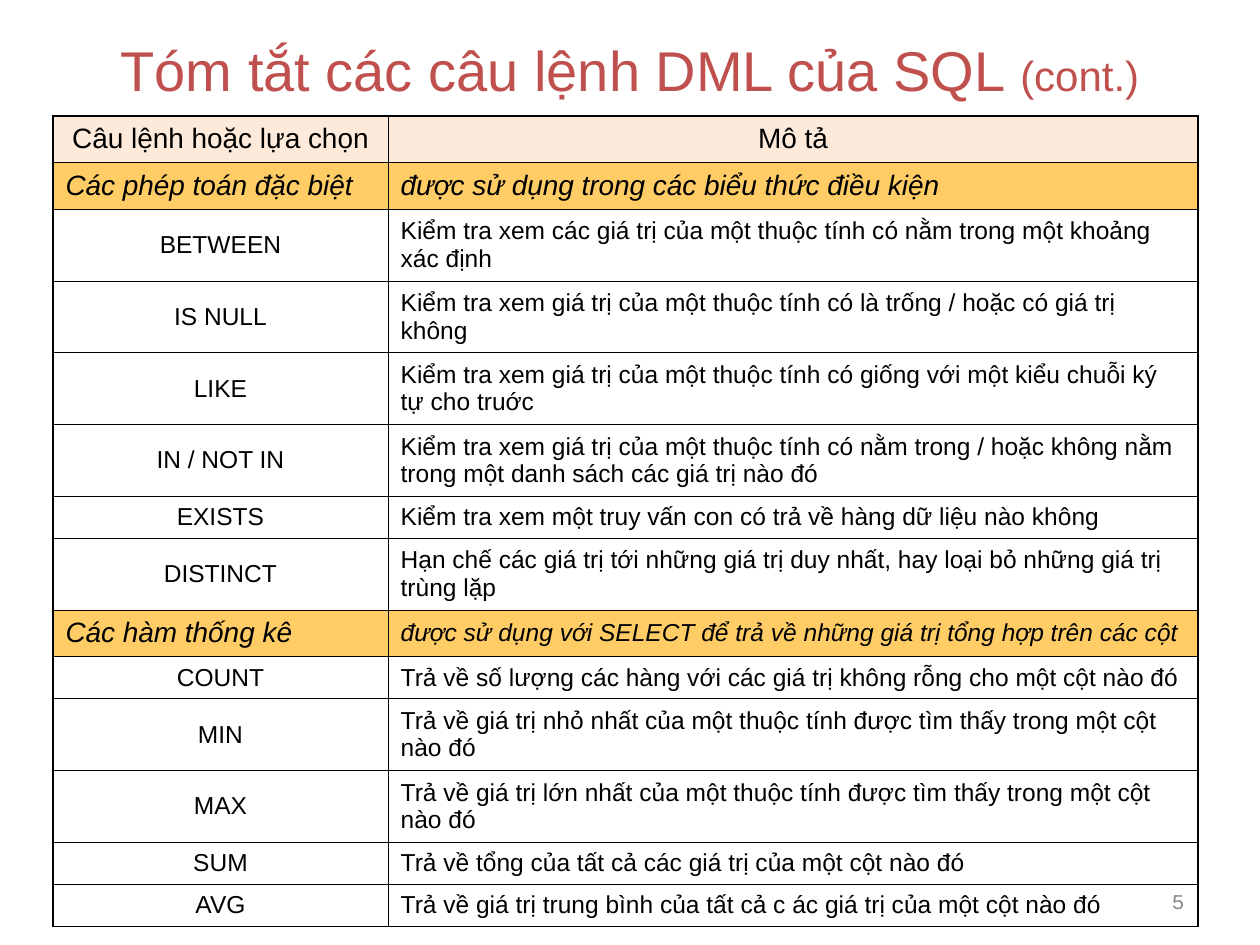
"""Build a slide with a table that sums up the DML commands of SQL."""
from lxml import etree
from pptx import Presentation, util as u
from pptx.dml.color import RGBColor
from pptx.enum import text
from pptx.oxml import ns

COLORS = {"title": "C0504D", "ink": "000000", "number": "898989",
          "header": "FDEADA", "group": "FFCC66"}
THIN, THICK = 0.45, 1.08
COLS = (2.66, 6.43)
ROW_H = {"short": 0.33, "head": 0.37, "tall": 0.57}
CENTER, LEFT, RIGHT = text.PP_ALIGN.CENTER, text.PP_ALIGN.LEFT, text.PP_ALIGN.RIGHT

ROWS = [
    ("head", "header", 16, "Câu lệnh hoặc lựa chọn", "Mô tả"),
    ("head", "group", 16, "Các phép toán đặc biệt", "được sử dụng trong các biểu thức điều kiện"),
    ("tall", None, 14, "BETWEEN",
     "Kiểm tra xem các giá trị của một thuộc tính có nằm trong một khoảng xác định"),
    ("tall", None, 14, "IS NULL",
     "Kiểm tra xem giá trị của một thuộc tính có là trống / hoặc có giá trị không"),
    ("tall", None, 14, "LIKE",
     "Kiểm tra xem giá trị của một thuộc tính có giống với một kiểu chuỗi ký tự cho truớc"),
    ("tall", None, 14, "IN / NOT IN",
     "Kiểm tra xem giá trị của một thuộc tính có nằm trong / hoặc không nằm trong một "
     "danh sách các giá trị nào đó"),
    ("short", None, 14, "EXISTS", "Kiểm tra xem một truy vấn con có trả về hàng dữ liệu nào không"),
    ("tall", None, 14, "DISTINCT",
     "Hạn chế các giá trị tới những giá trị duy nhất, hay loại bỏ những giá trị trùng lặp"),
    ("head", "group", 14, "Các hàm thống kê",
     "được sử dụng với SELECT để trả về những giá trị tổng hợp trên các cột"),
    ("short", None, 14, "COUNT",
     "Trả về số lượng các hàng với các giá trị không rỗng cho một cột nào đó"),
    ("tall", None, 14, "MIN",
     "Trả về giá trị nhỏ nhất của một thuộc tính được tìm thấy trong một cột nào đó"),
    ("tall", None, 14, "MAX",
     "Trả về giá trị lớn nhất của một thuộc tính được tìm thấy trong một cột nào đó"),
    ("short", None, 14, "SUM", "Trả về tổng của tất cả các giá trị của một cột nào đó"),
    ("short", None, 14, "AVG",
     "Trả về giá trị trung bình của tất cả c ác giá trị của một cột nào đó"),
]


def style(p, size, color, align, font="Arial", italic=False):
    p.alignment = align
    for r in p.runs:
        r.font.size, r.font.name, r.font.italic = u.Pt(size), font, italic
        r.font.color.rgb = RGBColor.from_string(COLORS[color])


def add_borders(cell, widths):
    tc_pr = cell._tc.get_or_add_tcPr()
    for i, (side, width) in enumerate(widths.items()):
        ln = etree.Element(ns.qn(f"a:ln{side}"), w=str(u.Pt(width)))
        fill = etree.SubElement(ln, ns.qn("a:solidFill"))
        etree.SubElement(fill, ns.qn("a:srgbClr"), val=COLORS["ink"])
        tc_pr.insert(i, ln)


prs = Presentation()
prs.slide_width, prs.slide_height = u.Inches(10), u.Inches(7.5)
s = prs.slides.add_slide(prs.slide_layouts[6])

sp = s.shapes.add_textbox(u.Inches(0.75), u.Inches(0.17), u.Inches(8.5), u.Inches(0.75))
tf = sp.text_frame
tf.word_wrap = True
tf.vertical_anchor = text.MSO_ANCHOR.MIDDLE
p = tf.paragraphs[0]
p.text = "Tóm tắt các câu lệnh DML của SQL "
p.add_run().text = "(cont.)"
style(p, 32, "title", CENTER)
p.runs[1].font.size = u.Pt(24)

heights = [ROW_H[row[0]] for row in ROWS]
frame = s.shapes.add_table(len(ROWS), len(COLS), u.Inches(0.42), u.Inches(0.92),
                           u.Inches(sum(COLS)), u.Inches(sum(heights)))
table = frame.table
table.first_row = table.horz_banding = False
for column, width in zip(table.columns, COLS):
    column.width = u.Inches(width)

last = len(ROWS) - 1
for i, (kind, fill, size, *words) in enumerate(ROWS):
    table.rows[i].height = u.Inches(heights[i])
    for j, word in enumerate(words):
        cell = table.cell(i, j)
        cell.text = word
        cell.vertical_anchor = text.MSO_ANCHOR.MIDDLE
        centered = fill == "header" or (fill is None and j == 0)
        style(cell.text_frame.paragraphs[0], 16 if fill and j == 0 else size, "ink",
              CENTER if centered else LEFT, italic=fill == "group")
        if fill:
            cell.fill.solid()
            cell.fill.fore_color.rgb = RGBColor.from_string(COLORS[fill])
        else:
            cell.fill.background()
        add_borders(cell, {"L": THICK if j == 0 else THIN, "R": THICK if j == 1 else THIN,
                           "T": THICK if i == 0 else THIN, "B": THICK if i == last else THIN})

sp = s.shapes.add_textbox(u.Inches(7.17), u.Inches(6.95), u.Inches(2.33), u.Inches(0.4))
tf = sp.text_frame
tf.word_wrap = True
tf.vertical_anchor = text.MSO_ANCHOR.MIDDLE
tf.text = "5"
style(tf.paragraphs[0], 12, "number", RIGHT, font="Courier New")

prs.save("out.pptx")
